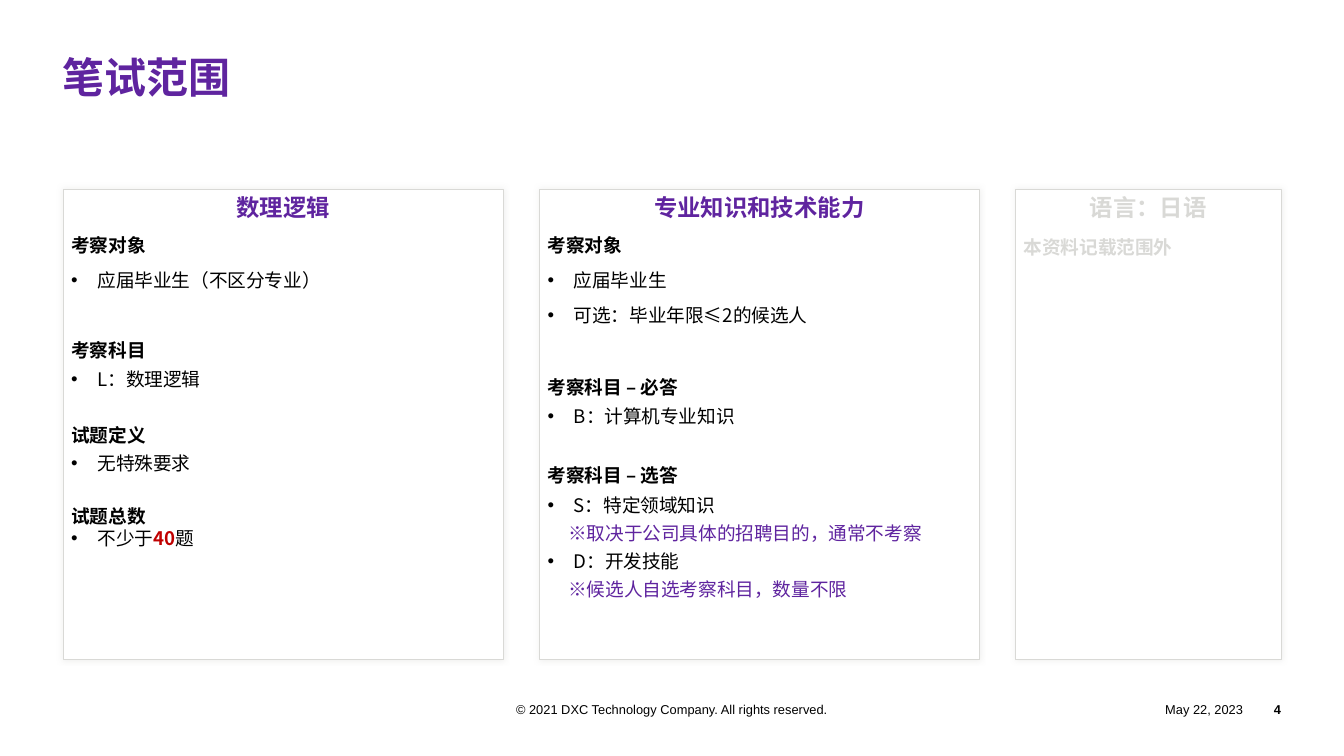
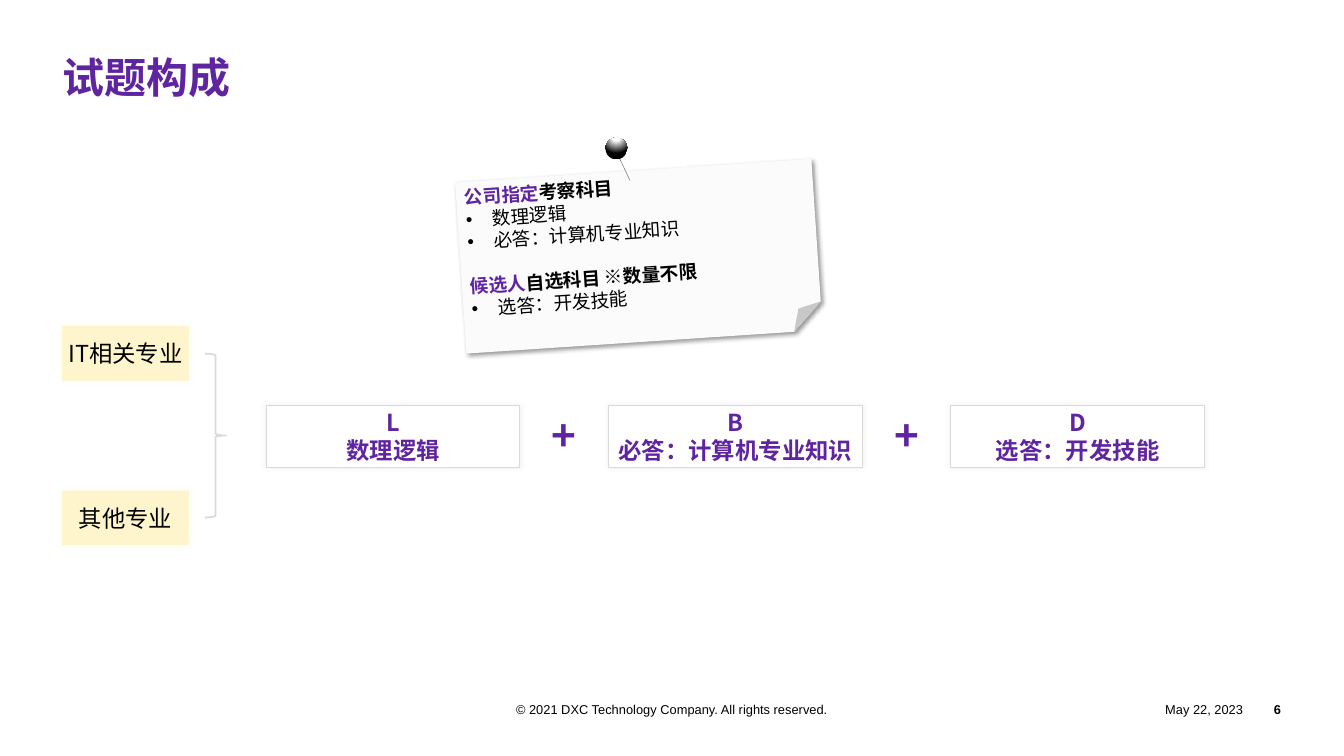
from dataclasses import dataclass, replace
from functools import partial

from lxml.etree import SubElement
from pptx import Presentation
from pptx.dml.color import RGBColor
from pptx.enum.shapes import MSO_CONNECTOR, MSO_SHAPE
from pptx.enum.text import MSO_ANCHOR, PP_ALIGN
from pptx.oxml import parse_xml
from pptx.oxml.ns import nsdecls, qn
from pptx.util import Pt

PURPLE, BLACK, WHITE, RED = "5F249F", "000000", "FFFFFF", "C00000"
GREY, CREAM, PAPER, PIN_GREY = "D9D9D6", "FFF5CC", "FBFBFB", "808080"
BODY_FONT, FOOTER_FONT = "Noto Sans CJK SC", "Arial"
LEFT, RIGHT = 54, 1098
HANG = 22.5
CARD_INSETS = (7.2, 3.6, 7.2, 3.6)
NO_INSETS = (0, 0, 0, 0)


@dataclass
class Para:
    """A paragraph; runs hold (text, colour, bold)."""
    runs: list
    size: float = 16
    align: PP_ALIGN = PP_ALIGN.LEFT
    before: float = 0
    after: float = 0
    spacing: float = 1
    indent: float = 0
    bullet: bool = False
    font: str = BODY_FONT


def line(text, color=BLACK, bold=False, **layout):
    return Para([(text, color, bold)], **layout)


heading = partial(line, bold=True)
bullet = partial(line, bullet=True, indent=HANG)
tight_bullet = partial(bullet, before=2.4, after=2.4)
loose_bullet = partial(bullet, before=3.6, after=7.2)
remark = partial(line, color=PURPLE, before=2.4, after=2.4, indent=17.9)
centred = partial(heading, color=PURPLE, size=20, align=PP_ALIGN.CENTER)
card_title = partial(centred, before=3.6, after=7.2)
subject_heading = partial(heading, after=3.6, spacing=1.1)


def rgb(hex_color):
    return RGBColor.from_string(hex_color)


def write(shape, paras, insets=CARD_INSETS, anchor=MSO_ANCHOR.TOP, wrap=True):
    frame = shape.text_frame
    frame.word_wrap = wrap
    frame.vertical_anchor = anchor
    (frame.margin_left, frame.margin_top,
     frame.margin_right, frame.margin_bottom) = map(Pt, insets)
    for number, para in enumerate(paras):
        paragraph = frame.paragraphs[0]
        if number:
            paragraph = frame.add_paragraph()
        else:
            para = replace(para, before=0)
        format_paragraph(paragraph, para)


def format_paragraph(paragraph, para):
    paragraph.alignment = para.align
    paragraph.space_before = Pt(para.before)
    paragraph.space_after = Pt(para.after)
    paragraph.line_spacing = para.spacing
    properties = paragraph._p.get_or_add_pPr()
    if para.indent:
        properties.set("marL", str(Pt(para.indent)))
    if para.bullet:
        properties.set("indent", str(-Pt(para.indent)))
        SubElement(properties, qn("a:buFont"), typeface="Arial")
        SubElement(properties, qn("a:buChar"), char="•")
    for text, color, bold in para.runs:
        run = paragraph.add_run()
        run.text = text
        run.font.size = Pt(para.size)
        run.font.bold = bold
        run.font.color.rgb = rgb(color)
        run.font.name = para.font
        SubElement(run._r.get_or_add_rPr(), qn("a:ea"), typeface=para.font)


def add_text(slide, x, y, width, height, para, **frame):
    box = slide.shapes.add_textbox(Pt(x), Pt(y), Pt(width), Pt(height))
    write(box, [para], **frame)


def add_figure(slide, kind, x, y, width, height, fill=None, outline=None, weight=0.75):
    figure = slide.shapes.add_shape(kind, Pt(x), Pt(y), Pt(width), Pt(height))
    if fill:
        figure.fill.solid()
        figure.fill.fore_color.rgb = rgb(fill)
    else:
        figure.fill.background()
    if outline:
        figure.line.color.rgb = rgb(outline)
        figure.line.width = Pt(weight)
    else:
        figure.line.fill.background()
    figure.shadow.inherit = False
    return figure


def add_shadow(figure, color, blur=5, distance=0, angle=0):
    effects = figure._element.spPr.find(qn("a:effectLst"))
    effects.append(parse_xml(
        f'<a:outerShdw {nsdecls("a")} blurRad="{Pt(blur)}" dist="{Pt(distance)}" '
        f'dir="{angle * 60000}" algn="ctr" rotWithShape="0"><a:srgbClr val="{color}">'
        '<a:alpha val="40000"/></a:srgbClr></a:outerShdw>'))


def add_card(slide, x, y, width, height, paras, **frame):
    card = add_figure(slide, MSO_SHAPE.RECTANGLE, x, y, width, height, WHITE, GREY)
    add_shadow(card, GREY)
    write(card, paras, **frame)


def add_major(slide, y, name):
    label = add_figure(slide, MSO_SHAPE.RECTANGLE, 53.3, y, 108.7, 46.8, CREAM)
    add_shadow(label, CREAM)
    write(label, [line(name, size=20, align=PP_ALIGN.CENTER)],
          insets=NO_INSETS, anchor=MSO_ANCHOR.MIDDLE)


def add_pin(slide):
    needle = slide.shapes.add_connector(
        MSO_CONNECTOR.STRAIGHT, Pt(528.5), Pt(130.3), Pt(540), Pt(154.8))
    needle.line.color.rgb = rgb(PIN_GREY)
    needle.line.width = Pt(0.5)
    SubElement(needle._element.spPr, qn("a:effectLst"))
    head = add_figure(slide, MSO_SHAPE.OVAL, 519, 118, 18.7, 18.7)
    head.rotation = 356.2
    properties = head._element.spPr
    stops = "".join(f'<a:gs pos="{pos}000"><a:srgbClr val="{color}"/></a:gs>'
                    for pos, color in ((0, WHITE), (24, WHITE), (100, BLACK)))
    properties.replace(properties.find(qn("a:noFill")), parse_xml(
        f'<a:gradFill {nsdecls("a")} rotWithShape="1"><a:gsLst>{stops}</a:gsLst>'
        '<a:path path="circle"><a:fillToRect l="50000" t="-80000" r="50000" b="180000"/>'
        '</a:path></a:gradFill>'))


def add_base(deck, title, number):
    """Adds a slide with its title and footer."""
    slide = deck.slides.add_slide(deck.slide_layouts[6])
    add_text(slide, LEFT, 50.4, RIGHT - LEFT, 111.6,
             heading(title, PURPLE, size=36, spacing=0.85), insets=NO_INSETS)
    for x, width, text, align, bold in (
            (378, 396, "© 2021 DXC Technology Company. All rights reserved.",
             PP_ALIGN.CENTER, False),
            (936.7, 128.9, "May 22, 2023", PP_ALIGN.RIGHT, False),
            (1065.6, 32.4, number, PP_ALIGN.RIGHT, True)):
        add_text(slide, x, 596.9, width, 21.6,
                 line(text, bold=bold, size=11, align=align, font=FOOTER_FONT),
                 insets=NO_INSETS, anchor=MSO_ANCHOR.MIDDLE)
    return slide


def build_scope(deck):
    slide = add_base(deck, "笔试范围", "4")
    target = heading("考察对象", before=3.6, after=7.2)
    logic = [
        card_title("数理逻辑"),
        target,
        loose_bullet("应届毕业生（不区分专业）"),
        subject_heading("考察科目", before=31.7),
        tight_bullet("L：数理逻辑"),
        heading("试题定义", before=26.1, after=2.4),
        tight_bullet("无特殊要求"),
        heading("试题总数", before=23.7),
        Para([("不少于", BLACK, False), ("40", RED, True), ("题", BLACK, False)],
             bullet=True, indent=HANG),
    ]
    expertise = [
        card_title("专业知识和技术能力"),
        target,
        loose_bullet("应届毕业生"),
        loose_bullet("可选：毕业年限≤2的候选人"),
        subject_heading("考察科目 – 必答", before=33.3),
        tight_bullet("B：计算机专业知识"),
        subject_heading("考察科目 – 选答", before=27.3),
        tight_bullet("S：特定领域知识"),
        remark("※取决于公司具体的招聘目的，通常不考察"),
        tight_bullet("D：开发技能"),
        remark("※候选人自选考察科目，数量不限"),
    ]
    language = [
        card_title("语言：日语", color=GREY),
        subject_heading("本资料记载范围外", color=GREY, before=3.6),
    ]
    for column, paras in enumerate((logic, expertise, language)):
        x = LEFT + column * 408.24
        add_card(slide, x, 162, min(377.3, RIGHT - x), 403.2, paras)


def build_composition(deck):
    slide = add_base(deck, "试题构成", "6")
    note = add_figure(slide, MSO_SHAPE.FOLDED_CORNER, 394.6, 146.2, 306, 146.9, PAPER)
    note.rotation = 356.2
    add_shadow(note, BLACK, blur=4, distance=3, angle=45)
    write(note, [
        Para([("公司指定", PURPLE, True), ("考察科目", BLACK, True)]),
        bullet("数理逻辑"),
        bullet("必答：计算机专业知识"),
        Para([("候选人", PURPLE, True), ("自选科目 ※数量不限", BLACK, True)], before=18.9),
        bullet("选答：开发技能"),
    ])
    add_pin(slide)

    part_width, part_step, plus_width = 217.4, 293.4, 46.8
    parts = (("L", "数理逻辑"), ("B", "必答：计算机专业知识"), ("D", "选答：开发技能"))
    for column, names in enumerate(parts):
        x = 228.2 + column * part_step
        add_card(slide, x, 347.4, part_width, 53.2, [centred(name) for name in names],
                 anchor=MSO_ANCHOR.MIDDLE)
        if column:
            gap_middle = x - (part_step - part_width) / 2
            add_text(slide, gap_middle - plus_width / 2, 346.3, plus_width, 53.3,
                     centred("+", size=36), insets=(9.4, 5, 9.4, 5), wrap=False)

    add_major(slide, 279.4, "IT相关专业")
    add_major(slide, 420.5, "其他专业")
    add_figure(slide, MSO_SHAPE.RIGHT_BRACE, 175.7, 303.1, 18, 140.4,
               outline=GREY, weight=1.5)


def main():
    deck = Presentation()
    deck.slide_width, deck.slide_height = Pt(1152), Pt(648)
    build_scope(deck)
    build_composition(deck)
    deck.save("out.pptx")


if __name__ == "__main__":
    main()
